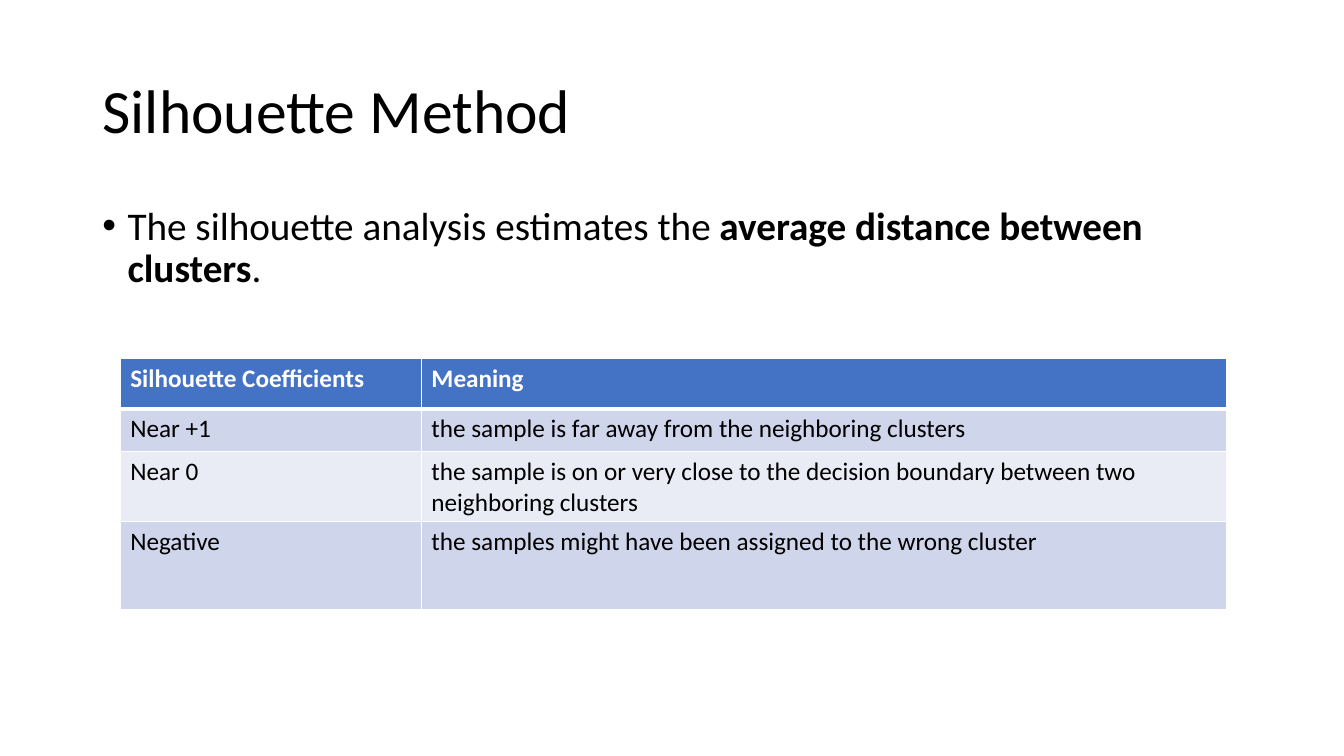
from dataclasses import dataclass

from lxml import etree
from pptx import Presentation
from pptx.dml.color import RGBColor
from pptx.enum import text
from pptx.oxml import ns
from pptx.util import Cm, Length, Pt

BLACK = RGBColor(0x00, 0x00, 0x00)
WHITE = RGBColor(0xFF, 0xFF, 0xFF)
BLUE = RGBColor(0x44, 0x72, 0xC4)
BAND_DARK = RGBColor(0xCF, 0xD5, 0xEA)
BAND_LIGHT = RGBColor(0xE9, 0xEB, 0xF5)
LEFT, WIDTH = Cm(2.33), Cm(29.21)


@dataclass
class TableRow:
    coefficient: str
    meaning: str
    height: Length


ROWS = [
    TableRow("Silhouette Coefficients", "Meaning", Cm(1.27)),
    TableRow("Near +1", "the sample is far away from the neighboring clusters", Cm(1.07)),
    TableRow("Near 0", "the sample is on or very close to the decision boundary "
             "between two neighboring clusters", Cm(1.73)),
    TableRow("Negative", "the samples might have been assigned to the wrong cluster",
             Cm(2.21)),
]
COLUMN_WIDTHS = [Cm(7.59), Cm(20.29)]


def set_all(target, values: dict) -> None:
    for name, value in values.items():
        setattr(target, name, value)


def add_span(para, words: str, size: int, color: RGBColor = BLACK,
             bold: bool = False) -> None:
    span = para.add_run()
    span.text = words
    set_all(span.font, {"name": "Calibri", "size": Pt(size), "bold": bold})
    span.font.color.rgb = color


def add_borders(cell, bottom: Length) -> None:
    properties = cell._tc.get_or_add_tcPr()
    widths = {"lnL": Pt(1), "lnR": Pt(1), "lnT": Pt(1), "lnB": bottom}
    for index, (side, width) in enumerate(widths.items()):
        line = etree.Element(ns.qn(f"a:{side}"), w=str(int(width)))
        fill = etree.SubElement(line, ns.qn("a:solidFill"))
        etree.SubElement(fill, ns.qn("a:srgbClr"), val=str(WHITE))
        properties.insert(index, line)


deck = Presentation()
set_all(deck, {"slide_width": Cm(33.87), "slide_height": Cm(19.05)})
page = deck.slides.add_slide(deck.slide_layouts[5])

# Title
title = page.shapes.title
set_all(title, {"left": LEFT, "top": Cm(1.01), "width": WIDTH, "height": Cm(3.68)})
set_all(title.text_frame, {"vertical_anchor": text.MSO_ANCHOR.MIDDLE, "word_wrap": True})
para = title.text_frame.paragraphs[0]
set_all(para, {"alignment": text.PP_ALIGN.LEFT, "line_spacing": 0.9})
add_span(para, "Silhouette Method", 44)

# Bulleted statement
box = page.shapes.add_textbox(LEFT, Cm(5.07), WIDTH, Cm(12.09))
box.text_frame.word_wrap = True
para = box.text_frame.paragraphs[0]
set_all(para, {"line_spacing": 0.9, "space_before": Pt(10)})
indent = para._p.get_or_add_pPr()
indent.set("marL", str(int(Pt(18))))
indent.set("indent", str(-int(Pt(18))))
etree.SubElement(indent, ns.qn("a:buFont"), typeface="Arial")
etree.SubElement(indent, ns.qn("a:buChar"), char="\u2022")
add_span(para, "The silhouette analysis estimates the\u00a0", 28)
add_span(para, "average distance between clusters", 28, bold=True)
add_span(para, ".", 28)

# Coefficient table
table = page.shapes.add_table(
    len(ROWS), len(COLUMN_WIDTHS), Cm(3.03), Cm(9.03),
    sum(COLUMN_WIDTHS), sum(row.height for row in ROWS)).table
for column, width in zip(table.columns, COLUMN_WIDTHS):
    column.width = width
for number, row in enumerate(ROWS):
    header = number == 0
    table.rows[number].height = row.height
    band = BLUE if header else BAND_DARK if number % 2 else BAND_LIGHT
    for cell, words in zip(table.rows[number].cells, (row.coefficient, row.meaning)):
        cell.fill.solid()
        cell.fill.fore_color.rgb = band
        add_borders(cell, Pt(3 if header else 1))
        add_span(cell.text_frame.paragraphs[0], words, 18,
                 WHITE if header else BLACK, header)

deck.save("out.pptx")
